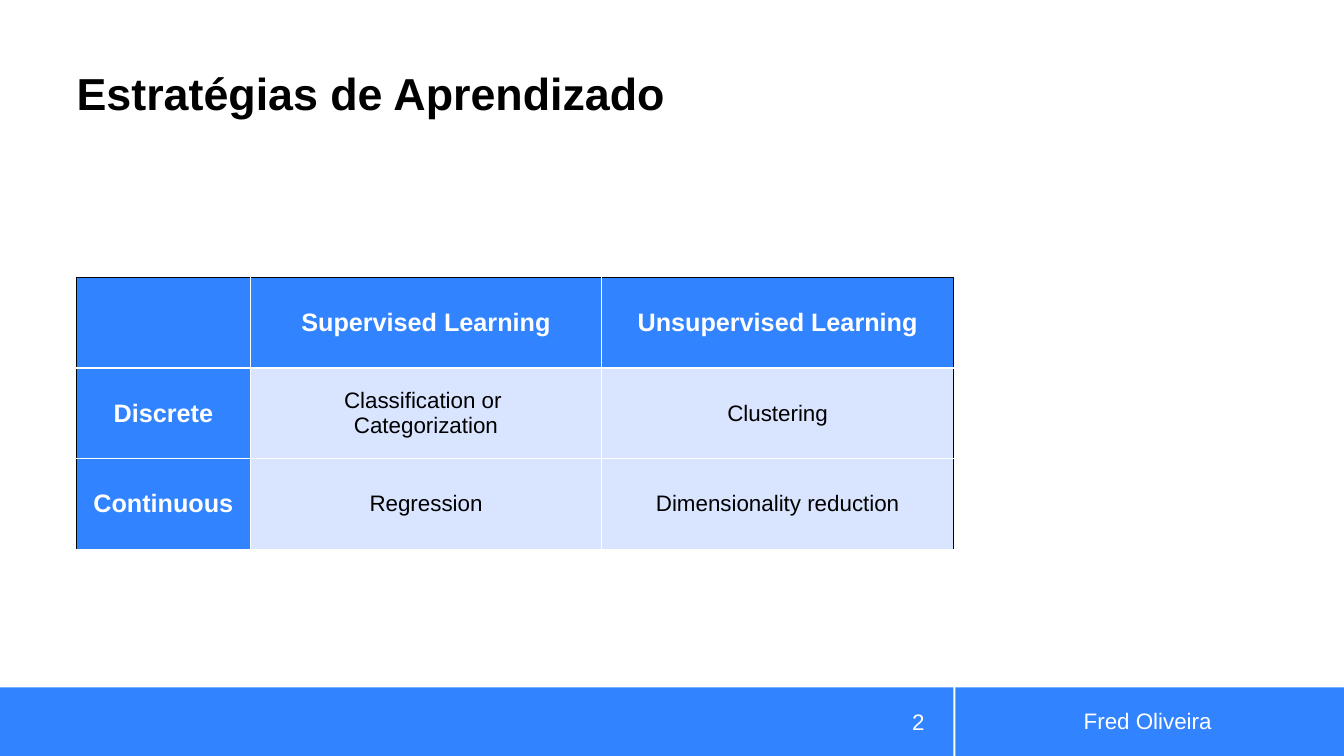
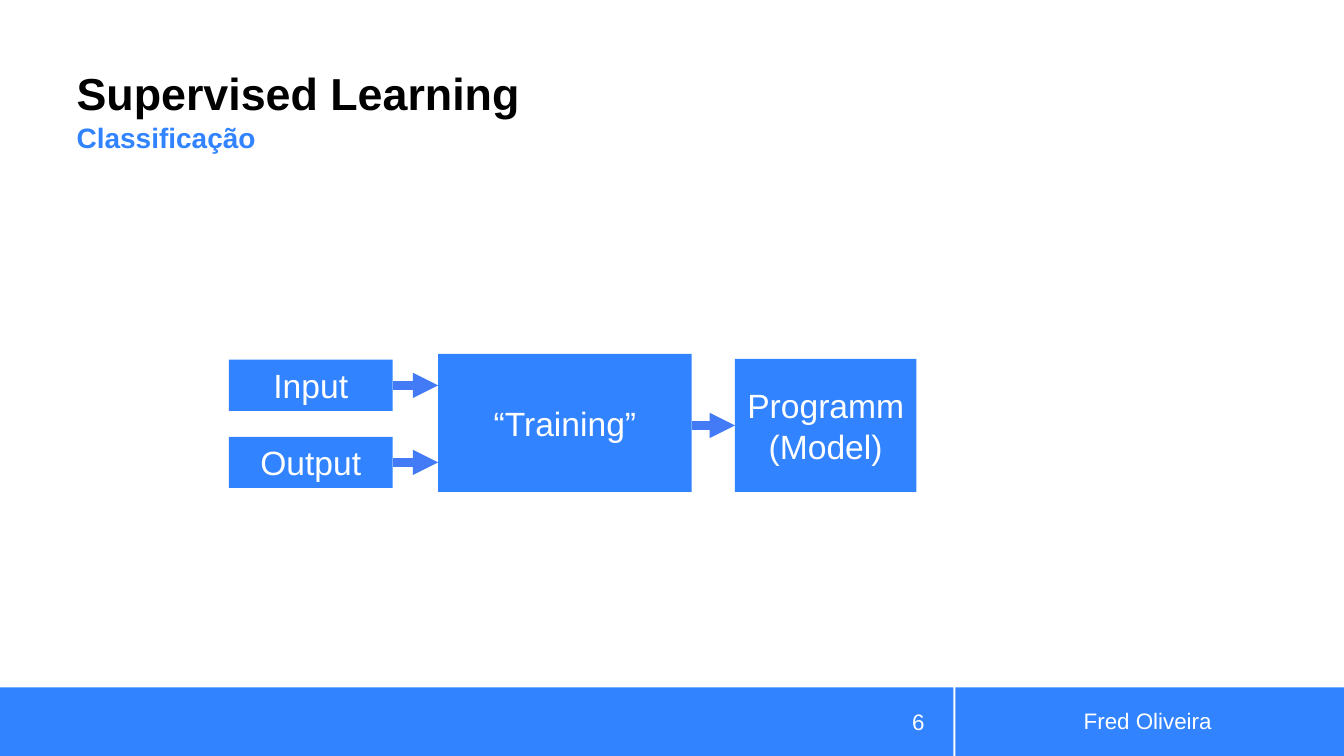
"""Build two slides on learning strategies: a table and a training flow."""
from lxml import etree
from pptx import Presentation
from pptx.dml.color import RGBColor
from pptx.enum import shapes, text
from pptx.oxml.ns import qn
from pptx.util import Pt

BLUE = RGBColor(0x31, 0x83, 0xFF)
BOX = RGBColor(0x32, 0x83, 0xFF)
ARROW = RGBColor(0x42, 0x7B, 0xF5)
PALE = RGBColor(0xD9, 0xE5, 0xFF)
WHITE = RGBColor(255, 255, 255)
BLACK = RGBColor(0, 0, 0)
FONT = "Arial"
LEFT, WIDE = 54.7, 626.4
BAND_TOP, BAND_H = 491, 49
MID, RIGHT = text.PP_ALIGN.CENTER, text.PP_ALIGN.RIGHT

AUTHOR = "Fred Oliveira"
BANDS = [(0, 681), (682.5, 277.5)]
GRID = [
    ["", "Supervised Learning", "Unsupervised Learning"],
    ["Discrete", "Classification or \vCategorization", "Clustering"],
    ["Continuous", "Regression", "Dimensionality reduction"],
]
COLS, ROW_H = [124, 251.2, 251.2], 64.8
BOXES = {
    "Input": (163.5, 257, 117, 36.5),
    "Output": (163.5, 312, 117, 36.5),
    "“Training”": (313, 252.8, 181, 98.6),
    "Programm (Model)": (525, 256.4, 129.6, 95),
}


def style(frame, size, color, bold=False, align=None):
    for para in frame.paragraphs:
        para.alignment = align
        for run in para.runs:
            font = run.font
            font.name, font.size, font.bold = FONT, Pt(size), bold
            font.color.rgb = color


def place(shape, area):
    shape.left, shape.top, shape.width, shape.height = map(Pt, area)


def add_rect(slide, area, color):
    rect = slide.shapes.add_shape(shapes.MSO_SHAPE.RECTANGLE, *map(Pt, area))
    rect.shadow.inherit = False
    rect.fill.solid()
    rect.fill.fore_color.rgb = color
    rect.line.fill.background()
    return rect


def add_text(slide, area, words, size, color, bold=False, align=None):
    box = slide.shapes.add_textbox(*map(Pt, area))
    frame = box.text_frame
    frame.word_wrap = True
    frame.text = words
    frame.vertical_anchor = text.MSO_ANCHOR.MIDDLE
    style(frame, size, color, bold, align)
    return frame


def trim(frame, top=0):
    frame.margin_left = frame.margin_right = frame.margin_bottom = 0
    frame.margin_top = Pt(top)
    frame.paragraphs[0].line_spacing = 0.9


def add_slide(deck, title, number):
    slide = deck.slides.add_slide(deck.slide_layouts[5])
    for left, width in BANDS:
        add_rect(slide, (left, BAND_TOP, width, BAND_H), BLUE)
    head = slide.shapes.title
    place(head, (LEFT, 9.4, WIDE, 76.3))
    frame = head.text_frame
    frame.text = title
    frame.vertical_anchor = text.MSO_ANCHOR.BOTTOM
    trim(frame)
    style(frame, 32, BLACK, True, text.PP_ALIGN.LEFT)
    add_text(slide, (692, 500.4, 255.6, 29), AUTHOR, 16, WHITE, align=MID)
    add_text(slide, (605.5, 501.1, 62, 29), number, 16, WHITE, align=RIGHT)
    return slide


def add_edges(cell, row, col):
    dark = {"L": col == 0, "R": col == len(COLS) - 1, "T": row == 0, "B": False}
    props = cell._tc.get_or_add_tcPr()
    for spot, (side, outer) in enumerate(dark.items()):
        line = etree.Element(qn("a:ln" + side), w=str(Pt(0.75 if outer else 0.96)))
        fill = etree.SubElement(line, qn("a:solidFill"))
        color = BLACK if outer else WHITE
        etree.SubElement(fill, qn("a:srgbClr"), val=str(color))
        props.insert(spot, line)


def add_grid(slide):
    area = (LEFT, 198, sum(COLS), ROW_H * len(GRID))
    table = slide.shapes.add_table(len(GRID), len(COLS), *map(Pt, area)).table
    table.first_row = table.horz_banding = False
    for col, width in zip(table.columns, COLS):
        col.width = Pt(width)
    for r, line in enumerate(GRID):
        table.rows[r].height = Pt(ROW_H)
        for c, words in enumerate(line):
            cell = table.cell(r, c)
            head = r == 0 or c == 0
            cell.text = words
            cell.vertical_anchor = text.MSO_ANCHOR.MIDDLE
            cell.fill.solid()
            cell.fill.fore_color.rgb = BLUE if head else PALE
            style(cell.text_frame, 18 if head else 16,
                  WHITE if head else BLACK, head, MID)
            add_edges(cell, r, c)


def add_arrow(slide, start, end):
    arrow = slide.shapes.add_connector(
        shapes.MSO_CONNECTOR.STRAIGHT, *map(Pt, start + end))
    arrow.line.color.rgb = ARROW
    arrow.line.width = Pt(6)
    etree.SubElement(arrow.line._get_or_add_ln(), qn("a:tailEnd"), type="triangle")
    etree.SubElement(arrow._element.spPr, qn("a:effectLst"))
    return arrow


def add_flow(slide):
    nodes = {}
    for words, area in BOXES.items():
        node = nodes[words] = add_rect(slide, area, BOX)
        frame = node.text_frame
        frame.word_wrap = True
        frame.text = words
        frame.vertical_anchor = text.MSO_ANCHOR.MIDDLE
        style(frame, 24, WHITE, align=MID)
    left, _, width, _ = BOXES["“Training”"]
    for name in ("Input", "Output"):
        x, y, w, h = BOXES[name]
        level = y + h / 2
        add_arrow(slide, (x + w, level), (left, level)).begin_connect(nodes[name], 3)
    model = "Programm (Model)"
    x, y, _, h = BOXES[model]
    level = y + h / 2
    add_arrow(slide, (left + width, level), (x, level)).end_connect(nodes[model], 1)


def main():
    deck = Presentation()
    deck.slide_width, deck.slide_height = Pt(960), Pt(540)
    add_grid(add_slide(deck, "Estratégias de Aprendizado", "2"))
    flow = add_slide(deck, "Supervised Learning", "6")
    sub = add_text(flow, (LEFT, 85.7, WIDE, 39.6), "Classificação", 20, BLUE, True)
    sub.vertical_anchor = text.MSO_ANCHOR.TOP
    trim(sub, 2.9)
    add_flow(flow)
    deck.save("out.pptx")


if __name__ == "__main__":
    main()
